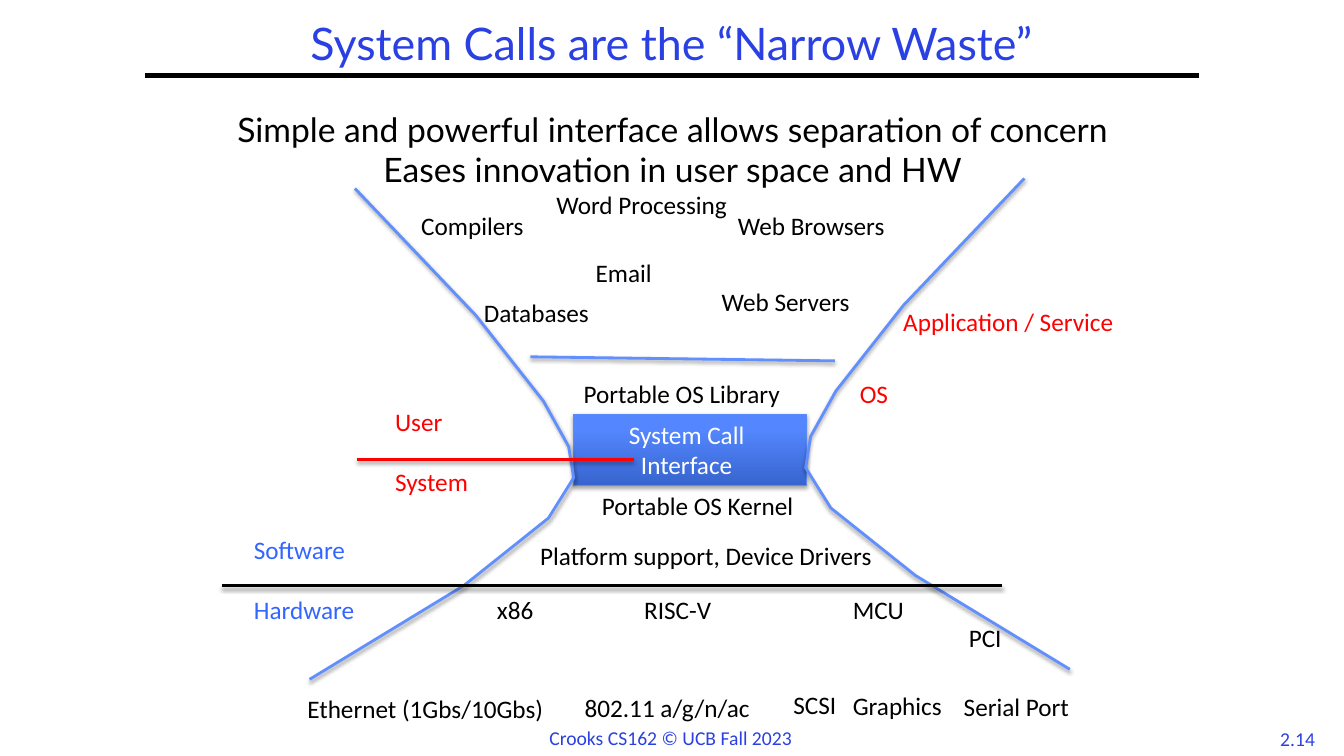
"""Build the slide on system calls as the narrow waist of the system stack."""
from lxml import etree
from pptx import Presentation
from pptx.dml.color import RGBColor
from pptx.enum.shapes import MSO_CONNECTOR, MSO_SHAPE
from pptx.enum.text import MSO_ANCHOR, MSO_AUTO_SIZE, PP_ALIGN
from pptx.oxml.ns import qn
from pptx.util import Emu, Pt

PX = 9144
LINE, RECT = MSO_CONNECTOR.STRAIGHT, MSO_SHAPE.RECTANGLE
LEFT, MID = PP_ALIGN.LEFT, PP_ALIGN.CENTER
CENTER = MSO_ANCHOR.MIDDLE
GROW = MSO_AUTO_SIZE.SHAPE_TO_FIT_TEXT
COLORS = {
    "title": "2A40E2", "black": "000000", "white": "FFFFFF", "red": "FF0000",
    "blue": "3366FF", "curve": "618FFD", "edge": "5B8AFB",
    "dark": "3764CE", "light": "5487FF",
}


def color(name):
    return RGBColor.from_string(COLORS[name])


class Board:
    """Hold the style and the current slide."""

    def __init__(self, deck):
        self.slide = deck.slides.add_slide(deck.slide_layouts[6])
        self.shapes = self.slide.shapes
        self.font = "Calibri"
        self.size = 18

    def shade(self, shape, alpha=38):
        props = shape._element.spPr
        effects = props.find(qn("a:effectLst"))
        if effects is None:
            effects = etree.SubElement(props, qn("a:effectLst"))
        if alpha:
            cast = etree.SubElement(
                effects, qn("a:outerShdw"), blurRad=str(Pt(3.1)),
                dist=str(Pt(1.6)), dir="5400000", rotWithShape="0")
            tone = etree.SubElement(cast, qn("a:srgbClr"), val=COLORS["black"])
            etree.SubElement(tone, qn("a:alpha"), val=str(alpha * 1000))

    def text(self, words, left, top, width, height=40, ink="black",
             size=None, font=None, align=LEFT, wrap=False):
        box = self.shapes.add_textbox(*(Emu(n * PX) for n in (left, top, width, height)))
        frame = box.text_frame
        frame.word_wrap = wrap
        frame.auto_size = GROW
        frame.text = words
        for para in frame.paragraphs:
            para.alignment = align
            for run in para.runs:
                run.font.name = font or self.font
                run.font.size = Pt(size or self.size)
                run.font.color.rgb = color(ink)
        return frame

    def line(self, x1, y1, x2, y2, ink="black", width=2, alpha=38):
        rule = self.shapes.add_connector(LINE, *(Emu(n * PX) for n in (x1, y1, x2, y2)))
        rule.line.color.rgb = color(ink)
        rule.line.width = Pt(width)
        self.shade(rule, alpha)

    def block(self, left, top, width, height):
        box = self.shapes.add_shape(RECT, *(Emu(n * PX) for n in (left, top, width, height)))
        box.shadow.inherit = False
        box.fill.gradient()
        box.fill.gradient_angle = 90
        low, high = box.fill.gradient_stops
        low.position, high.position = 0, 0.8
        low.color.rgb, high.color.rgb = color("dark"), color("light")
        box.line.color.rgb = color("edge")
        box.line.width = Pt(0.75)
        self.shade(box, 35)

    def curve(self, left, top, steps, side):
        pen = self.shapes.build_freeform(left, top, scale=PX)
        points = [(left + side * x, top + y) for x, y in steps]
        pen.add_line_segments(points, close=False)
        wing = pen.convert_to_shape()
        wing.shadow.inherit = False
        wing.fill.background()
        wing.line.color.rgb = color("curve")
        wing.line.width = Pt(2)
        self.shade(wing)


LABELS = [
    ("Compilers", 408, 204, 134), ("Web Servers", 706, 279, 166),
    ("Web Browsers", 722, 204, 184), ("Databases", 470, 290, 141),
    ("Email", 581, 250, 83), ("Word Processing", 542, 183, 212),
    ("Portable OS Library", 569, 370, 242),
    ("Portable OS Kernel", 587, 482, 238),
    ("Platform support, Device Drivers", 526, 531, 390),
    ("x86", 483, 585, 61), ("MCU", 836, 585, 76), ("RISC-V", 629, 585, 127),
    ("Ethernet (1Gbs/10Gbs)", 295, 683, 281),
    ("802.11 a/g/n/ac", 570, 682, 192), ("SCSI", 777, 679, 79),
    ("Serial Port", 946, 681, 155), ("Graphics", 836, 680, 121),
    ("PCI", 951, 612, 62),
]
SIDES = [
    ("Hardware", 242, 585, 130, "blue"), ("Software", 242, 525, 120, "blue"),
    ("System", 382, 458, 104, "red"), ("User", 382, 398, 73, "red"),
    ("OS", 843, 370, 57, "red"),
    ("Application / Service", 886, 299, 249, "red"),
]
STEPS = [(120, 126), (187, 211), (212, 256), (217, 287),
         (192, 327), (108, 394), (-45, 487)]


def main():
    deck = Presentation()
    deck.slide_width, deck.slide_height = Emu(1333 * PX), Emu(750 * PX)
    board = Board(deck)
    board.text("2.14", 1258, 716, 58, 33, "title", 14, align=MID)
    board.line(144, 75, 1189, 75, width=3, alpha=0)
    board.text("Crooks CS162 © UCB Fall 2023", 535, 715, 263, 34, "title", 14)
    title = board.text("System Calls are the “Narrow Waste”", 144, 17, 1044, 58,
                       "title", 32, "Lato", MID, True)
    title.auto_size = MSO_AUTO_SIZE.NONE
    title.vertical_anchor = CENTER
    title.paragraphs[0].line_spacing = 0.9
    board.block(569, 411, 231, 71)
    for words, left, top, width in LABELS:
        board.text(words, left, top, width)
    board.text("System Call\nInterface", 600, 411, 162, 71, "white",
               align=MID, wrap=True)
    board.curve(352, 187, STEPS, 1)
    board.curve(1016, 177, STEPS, -1)
    board.line(526, 354, 828, 358, "curve")
    board.line(220, 581, 994, 581)
    board.line(354, 456, 629, 456, "red")
    for words, left, top, width, ink in SIDES:
        board.text(words, left, top, width, ink=ink)
    board.text("Simple and powerful interface allows separation of concern\n"
               "Eases innovation in user space and HW",
               31, 103, 1272, 91, size=24, font="Lato", align=MID, wrap=True)
    deck.save("out.pptx")


if __name__ == "__main__":
    main()
